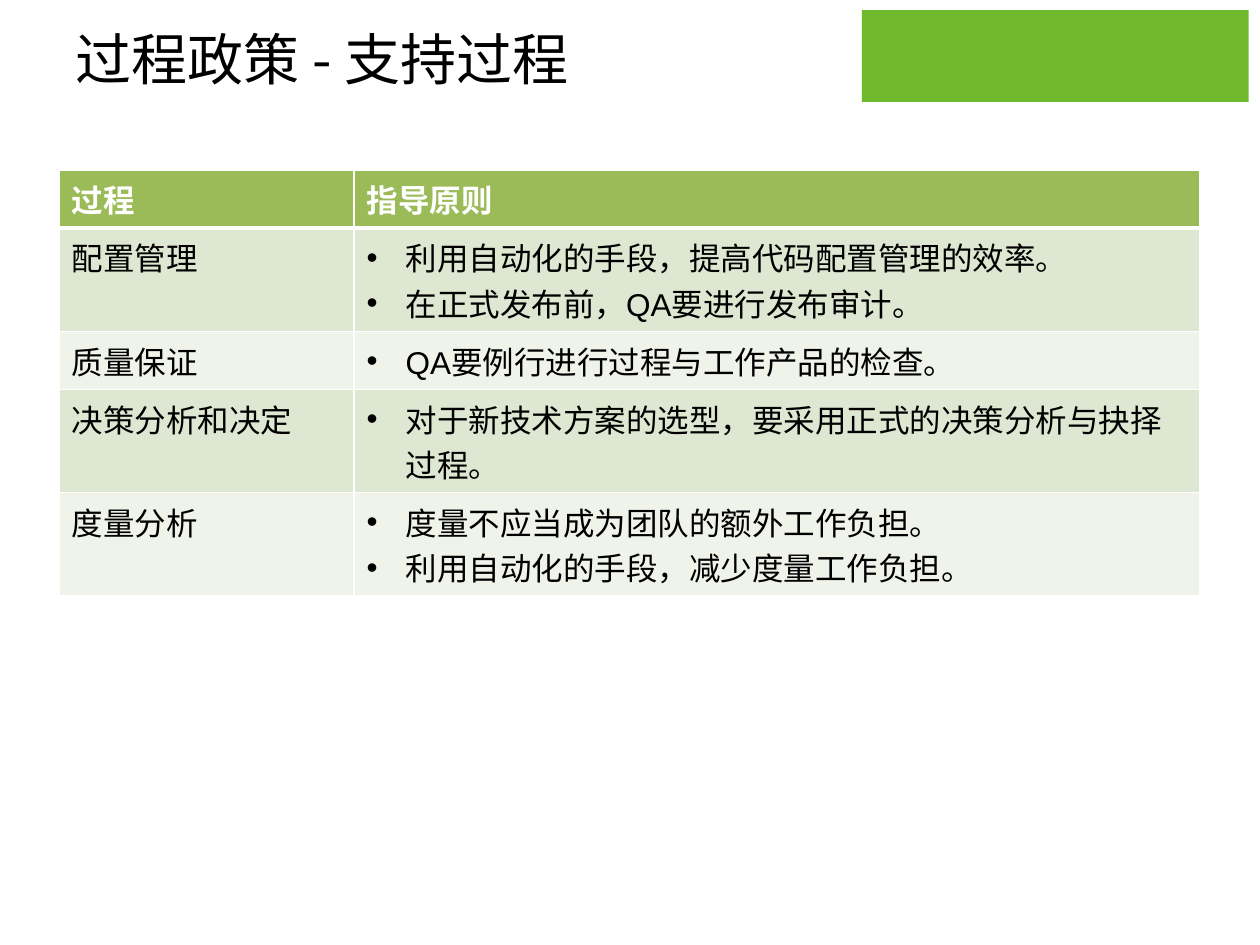
"""Build the process policy slide with its table of support processes."""
import lxml.etree
import pptx
import pptx.dml.color
import pptx.enum.shapes
import pptx.enum.text
import pptx.oxml.ns
import pptx.util

Inches = pptx.util.Inches
Pt = pptx.util.Pt
RGBColor = pptx.dml.color.RGBColor
qn = pptx.oxml.ns.qn

BANNER_GREEN = RGBColor(0x70, 0xB9, 0x2C)
HEADER_GREEN = RGBColor(0x9B, 0xBB, 0x59)
BAND_COLORS = [RGBColor(0xEF, 0xF3, 0xEA), RGBColor(0xDE, 0xE7, 0xD1)]
BLACK = RGBColor(0, 0, 0)
WHITE = RGBColor(0xFF, 0xFF, 0xFF)
CJK_FONT = "Noto Sans CJK SC"

ROWS = [
    ("过程", ["指导原则"]),
    ("配置管理", ["利用自动化的手段，提高代码配置管理的效率。", "在正式发布前，QA要进行发布审计。"]),
    ("质量保证", ["QA要例行进行过程与工作产品的检查。"]),
    ("决策分析和决定", ["对于新技术方案的选型，要采用正式的决策分析与抉择过程。"]),
    ("度量分析", ["度量不应当成为团队的额外工作负担。", "利用自动化的手段，减少度量工作负担。"]),
]
ROW_HEIGHTS = [0.46, 0.82, 0.46, 0.82, 0.82]
COLUMN_WIDTHS = [2.34, 6.71]


def format_runs(paragraph, size, latin_font, color, bold=False):
    for run in paragraph.runs:
        run.font.size = Pt(size)
        run.font.bold = bold
        run.font.color.rgb = color
        run.font.name = latin_font
        properties = run.font._element
        lxml.etree.SubElement(properties, qn("a:ea"), typeface=CJK_FONT)


def set_borders(cell, widths):
    properties = cell._tc.get_or_add_tcPr()
    for side, width in widths.items():
        line = lxml.etree.SubElement(properties, qn(f"a:ln{side}"), w=str(Pt(width)))
        fill = lxml.etree.SubElement(line, qn("a:solidFill"))
        lxml.etree.SubElement(fill, qn("a:srgbClr"), val=str(WHITE))


presentation = pptx.Presentation()
presentation.slide_width = Inches(10)
presentation.slide_height = Inches(7.5)
slide = presentation.slides.add_slide(presentation.slide_layouts[6])

banner = slide.shapes.add_shape(
    pptx.enum.shapes.MSO_SHAPE.RECTANGLE, Inches(6.84), Inches(0.08), Inches(3.07), Inches(0.73)
)
banner.shadow.inherit = False
banner.fill.solid()
banner.fill.fore_color.rgb = BANNER_GREEN
banner.line.fill.background()

title = slide.shapes.add_textbox(Inches(0.5), Inches(0.18), Inches(5.57), Inches(0.56))
title.text_frame.word_wrap = True
title.text_frame.vertical_anchor = pptx.enum.text.MSO_ANCHOR.MIDDLE
title.text_frame.text = "过程政策 - 支持过程"
format_runs(title.text_frame.paragraphs[0], 32, CJK_FONT, BLACK)

table = slide.shapes.add_table(
    len(ROWS), len(COLUMN_WIDTHS), Inches(0.47), Inches(1.35),
    Inches(sum(COLUMN_WIDTHS)), Inches(sum(ROW_HEIGHTS)),
).table
for column, width in zip(table.columns, COLUMN_WIDTHS):
    column.width = Inches(width)
for row, height in zip(table.rows, ROW_HEIGHTS):
    row.height = Inches(height)

for row_index, (process, principles) in enumerate(ROWS):
    is_header = row_index == 0
    for column_index, lines in enumerate([[process], principles]):
        cell = table.cell(row_index, column_index)
        cell.text_frame.text = "\n".join(lines)
        set_borders(cell, {"L": 1, "R": 1, "T": 3 if row_index == 1 else 1, "B": 3 if is_header else 1})
        cell.fill.solid()
        cell.fill.fore_color.rgb = HEADER_GREEN if is_header else BAND_COLORS[row_index % 2]
        for paragraph in cell.text_frame.paragraphs:
            if is_header:
                format_runs(paragraph, 18, "Calibri", WHITE, bold=True)
            else:
                format_runs(paragraph, 18, "Arial", BLACK)
            if column_index == 1 and not is_header:
                properties = paragraph._p.get_or_add_pPr()
                properties.set("marL", str(Inches(0.31)))
                properties.set("indent", str(Inches(-0.31)))
                lxml.etree.SubElement(properties, qn("a:buFont"), typeface="Arial")
                lxml.etree.SubElement(properties, qn("a:buChar"), char="•")

presentation.save("out.pptx")
